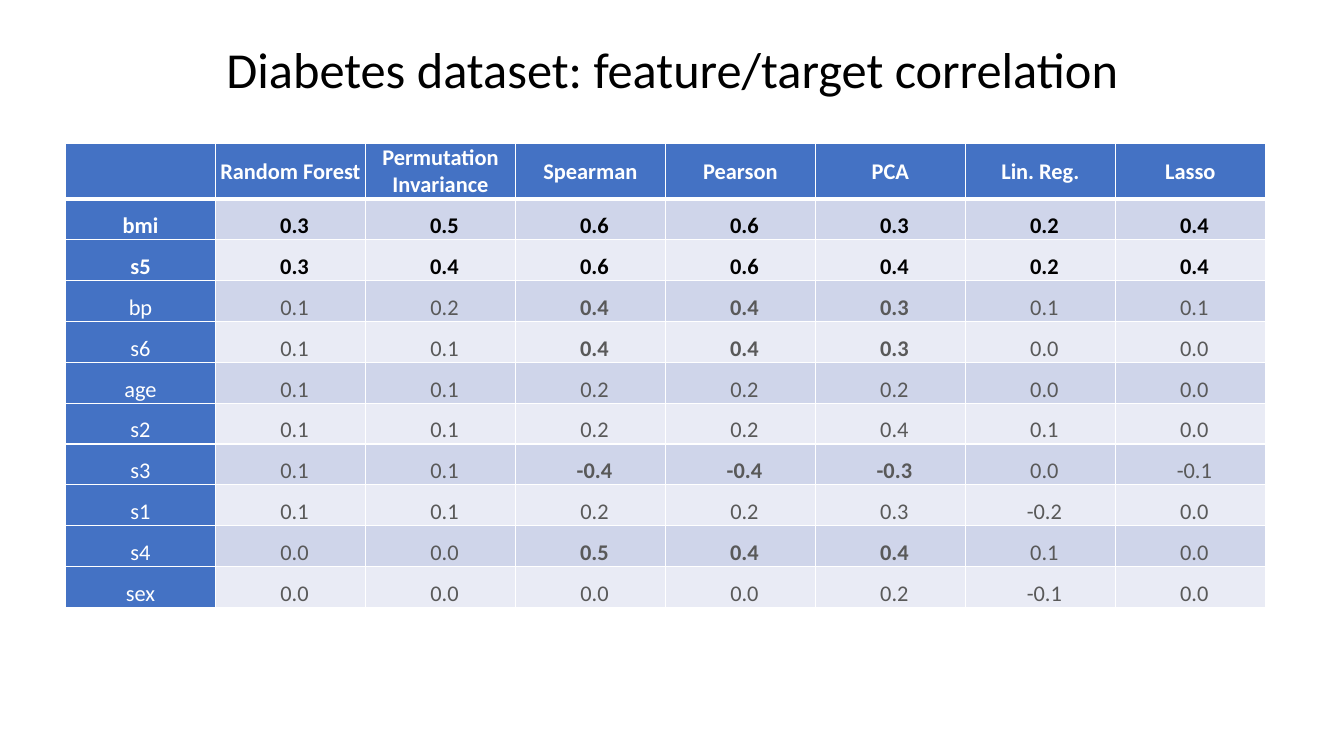
import pptx
import pptx.util
import pptx.dml.color
import pptx.enum.text
import pptx.oxml.ns
import lxml.etree

Inches, Pt = pptx.util.Inches, pptx.util.Pt
ALIGN = pptx.enum.text.PP_ALIGN
ANCHOR = pptx.enum.text.MSO_ANCHOR
qn = pptx.oxml.ns.qn

COLORS = {"white": "FFFFFF", "black": "000000", "gray": "595959",
          "header": "4472C4", "band_dark": "CFD5EA", "band_light": "E9EBF5"}

MODELS = ["", "Random Forest", "Permutation Invariance", "Spearman",
          "Pearson", "PCA", "Lin. Reg.", "Lasso"]
FEATURES = [
    ["bmi", "0.3", "0.5", "0.6", "0.6", "0.3", "0.2", "0.4"],
    ["s5", "0.3", "0.4", "0.6", "0.6", "0.4", "0.2", "0.4"],
    ["bp", "0.1", "0.2", "0.4", "0.4", "0.3", "0.1", "0.1"],
    ["s6", "0.1", "0.1", "0.4", "0.4", "0.3", "0.0", "0.0"],
    ["age", "0.1", "0.1", "0.2", "0.2", "0.2", "0.0", "0.0"],
    ["s2", "0.1", "0.1", "0.2", "0.2", "0.4", "0.1", "0.0"],
    ["s3", "0.1", "0.1", "-0.4", "-0.4", "-0.3", "0.0", "-0.1"],
    ["s1", "0.1", "0.1", "0.2", "0.2", "0.3", "-0.2", "0.0"],
    ["s4", "0.0", "0.0", "0.5", "0.4", "0.4", "0.1", "0.0"],
    ["sex", "0.0", "0.0", "0.0", "0.0", "0.2", "-0.1", "0.0"],
]
TOP_FEATURES = {"bmi", "s5"}                # bold and black all along the row
CORRELATED = {"bp", "s6", "s3", "s4"}       # bold in the three columns below
CORRELATION_COLS = range(3, 6)


class Deck:
    def __init__(self, font="Calibri"):
        self.font = font
        self.prs = pptx.Presentation()
        self.prs.slide_width, self.prs.slide_height = Inches(13.33), Inches(7.5)
        self.s = self.prs.slides.add_slide(self.prs.slide_layouts[5])

    def color(self, name):
        return pptx.dml.color.RGBColor.from_string(COLORS[name])

    def run(self, p, text, size, color, bold=False):
        p.alignment = ALIGN.CENTER
        r = p.add_run()
        r.text = text
        r.font.name, r.font.size, r.font.bold = self.font, Pt(size), bold
        r.font.color.rgb = self.color(color)

    def title(self, text, left, top, width, height):
        sp = self.s.shapes.title
        sp.left, sp.top = Inches(left), Inches(top)
        sp.width, sp.height = Inches(width), Inches(height)
        tf = sp.text_frame
        tf.word_wrap = True
        tf.auto_size = pptx.enum.text.MSO_AUTO_SIZE.NONE
        tf.vertical_anchor = ANCHOR.MIDDLE
        tf.paragraphs[0].line_spacing = 0.9
        self.run(tf.paragraphs[0], text, 36, "black")

    def borders(self, cell, widths):
        tc_pr = cell._tc.get_or_add_tcPr()
        for side, width in widths.items():
            ln = lxml.etree.SubElement(tc_pr, qn("a:ln" + side), w=str(Pt(width)))
            fill = lxml.etree.SubElement(ln, qn("a:solidFill"))
            lxml.etree.SubElement(fill, qn("a:srgbClr"), val=COLORS["white"])

    def cell(self, cell, text, fill, color, bold, anchor, left_margin, widths):
        self.borders(cell, widths)
        cell.fill.solid()
        cell.fill.fore_color.rgb = self.color(fill)
        if not text:
            return
        cell.vertical_anchor = anchor
        cell.margin_left = Inches(left_margin)
        cell.margin_top = cell.margin_right = Inches(0.01)
        cell.margin_bottom = 0
        self.run(cell.text_frame.paragraphs[0], text, 16, color, bold)

    def table(self, rows, left, top, width, height):
        table = self.s.shapes.add_table(len(rows), len(rows[0]), Inches(left),
                                        Inches(top), Inches(width), Inches(height)).table
        for i, row in enumerate(rows):
            feature = row[0]
            is_head, is_top = i == 0, feature in TOP_FEATURES
            band = "band_dark" if i % 2 else "band_light"
            # A thick rule separates the header from the values
            widths = {"L": 1, "R": 1, "T": 3 if i == 1 else 1, "B": 3 if is_head else 1}
            for j, text in enumerate(row):
                is_label = is_head or j == 0
                bold = is_head or is_top or (
                    feature in CORRELATED and j in CORRELATION_COLS)
                self.cell(table.cell(i, j), text,
                          fill="header" if is_label else band,
                          color="white" if is_label else "black" if is_top else "gray",
                          bold=bold,
                          anchor=ANCHOR.MIDDLE if is_head else ANCHOR.BOTTOM,
                          left_margin=0.01 if is_label else 0.09,
                          widths=widths)


def main():
    deck = Deck()
    # Correlation table; the two-line header makes its row grow
    deck.table([MODELS] + FEATURES, 0.65, 1.42, 11.9, 4.46)
    # Title
    deck.title("Diabetes dataset: feature/target correlation", 0.92, -0.01, 11.5, 1.45)
    deck.prs.save("out.pptx")


if __name__ == "__main__":
    main()
